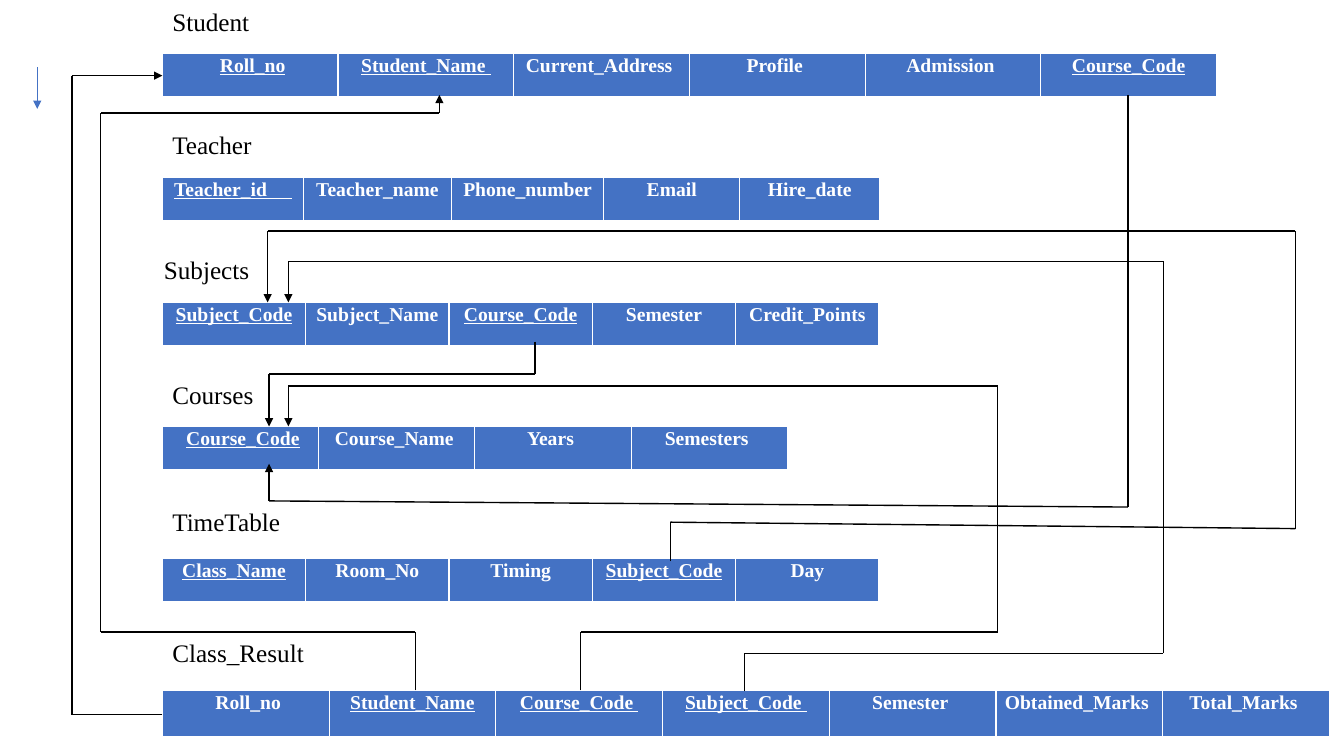
import itertools

import lxml.etree
import pptx
import pptx.dml.color
import pptx.enum.shapes
import pptx.enum.text
import pptx.oxml.ns
import pptx.util

Pt = pptx.util.Pt
COLORS = {"blue": "4472C4", "white": "FFFFFF", "black": "000000"}
FONT = "Times New Roman"
TABLE_LEFT = 116

# Title, title left, title top, table top, row height, column widths, columns.
# The part of a column name after * is underlined as a key.
RELATIONS = [
    ("Student", 116, 0.7, 38.2, 31, [125.5] * 6,
     [" *Roll_no", "*Student_Name ", "Current_Address ", "Profile ",
      "Admission ", "*Course_Code"]),
    ("Teacher", 116, 88.6, 126.7, 31, [100.8, 105.8, 108.7, 97.2, 100],
     ["*Teacher_id     ", "Teacher_name", "Phone_number", "Email", "Hire_date"]),
    ("Subjects", 110, 177.8, 216, 31, [102.4] * 5,
     ["*Subject_Code", "Subject_Name", "*Course_Code", "Semester",
      "Credit_Points"]),
    ("Courses", 116, 267.1, 304.6, 31, [111.6] * 4,
     [" *Course_Code", "Course_Name ", "Years ", "Semesters "]),
    ("TimeTable", 116, 357.8, 398.9, 31, [102.4] * 5,
     ["*Class_Name", "Room_No", "Timing", "*Subject_Code", "Day"]),
    ("Class_Result", 116, 451.4, 493.2, 33, [119.1] * 7,
     [" Roll_no", "*Student_Name", "*Course_Code ", "*Subject_Code ",
      "Semester ", "Obtained_Marks  ", "Total_Marks "]),
]

# Corner points of each foreign key path, arrowhead at the last point
KEY_PATHS = [
    [(116, 510.5), (51.4, 510.5), (51.4, 54), (116, 54)],
    [(414.7, 493.2), (414.7, 451.4), (712.6, 451.4), (712.6, 275.8),
     (206, 275.8), (206, 304.6)],
    [(532, 493.6), (532, 466.6), (830.9, 466.6), (830.9, 186.7),
     (206, 186.7), (206, 216)],
    [(382.3, 244), (382.3, 267.1), (192.2, 267.1), (192.2, 304.6)],
    [(805.7, 67.8), (805.7, 362.2), (192.2, 357.8), (192.2, 331.2)],
    [(478.8, 401), (478.8, 373), (925.2, 377.6), (925.2, 164.9),
     (191.2, 164.9), (191.2, 216)],
    [(296.6, 493.2), (296.6, 451.4), (72, 451.4), (72, 80.6),
     (313.9, 80.6), (313.9, 67.8)],
]


def style_span(span, size, color):
    span.font.name = FONT
    span.font.size = Pt(size)
    span.font.color.rgb = pptx.dml.color.RGBColor.from_string(COLORS[color])


def draw_path(page, points, color, width):
    segments = list(itertools.pairwise(points))
    for number, (start, end) in enumerate(segments, 1):
        line = page.shapes.add_connector(
            pptx.enum.shapes.MSO_CONNECTOR.STRAIGHT,
            *[Pt(length) for length in start + end])
        line.line.color.rgb = pptx.dml.color.RGBColor.from_string(COLORS[color])
        line.line.width = Pt(width)
        if number == len(segments):
            lxml.etree.SubElement(line.line._get_or_add_ln(),
                                  pptx.oxml.ns.qn("a:tailEnd"), type="triangle")
        lxml.etree.SubElement(line._element.spPr,
                              pptx.oxml.ns.qn("a:effectLst"))


deck = pptx.Presentation()
deck.slide_width, deck.slide_height = Pt(960), Pt(540)
page = deck.slides.add_slide(deck.slide_layouts[6])

# Relation tables with their titles
for title, title_left, title_top, top, height, widths, names in RELATIONS:
    table = page.shapes.add_table(1, len(names), Pt(TABLE_LEFT), Pt(top),
                                  Pt(sum(widths)), Pt(height)).table
    for column, width, cell, name in zip(table.columns, widths,
                                         table.rows[0].cells, names):
        column.width = Pt(width)
        cell.fill.solid()
        cell.fill.fore_color.rgb = pptx.dml.color.RGBColor.from_string(
            COLORS["blue"])
        cell.margin_left = cell.margin_right = Pt(5)
        cell.margin_top = cell.margin_bottom = 0
        para = cell.text_frame.paragraphs[0]
        para.alignment = pptx.enum.text.PP_ALIGN.CENTER
        para.line_spacing = 1.07
        para.space_after = Pt(8)
        plain, _, key = name.partition("*")
        for text, underlined in ((plain, False), (key, True)):
            if text:
                span = para.add_run()
                span.text = text
                style_span(span, 14, "white")
                span.font.bold = True
                span.font.underline = underlined

    box = page.shapes.add_textbox(Pt(title_left), Pt(title_top), Pt(152), Pt(30))
    box.text_frame.word_wrap = True
    box.text_frame.auto_size = pptx.enum.text.MSO_AUTO_SIZE.SHAPE_TO_FIT_TEXT
    box.text_frame.text = title
    style_span(box.text_frame.paragraphs[0].runs[0], 18, "black")

# Foreign key arrows
for points in KEY_PATHS:
    draw_path(page, points, "black", 1)

# Small loose arrow at the left
draw_path(page, [(26.6, 48.2), (26.6, 77.8)], "blue", 0.5)

deck.save("out.pptx")
